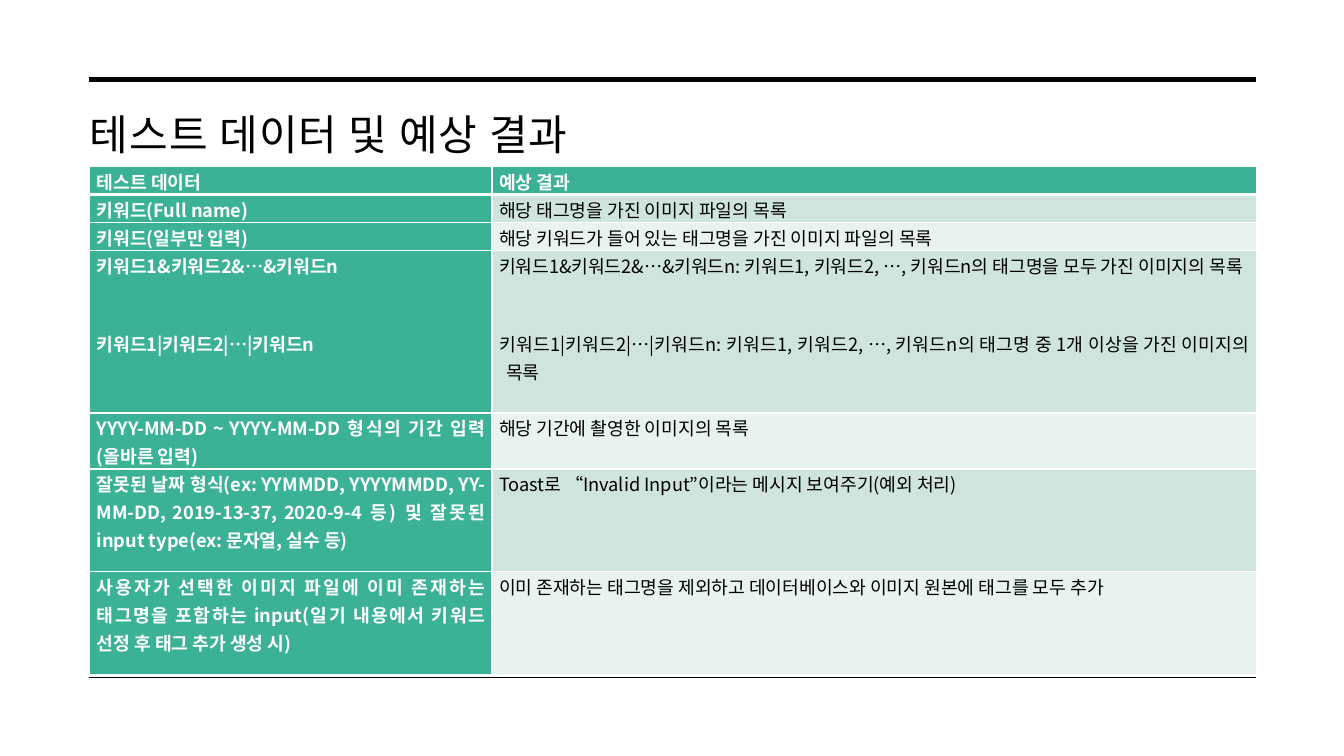
import pptx
import pptx.dml.color
import pptx.enum.shapes
import pptx.enum.text
import pptx.oxml.ns
import pptx.util
from lxml import etree
from pptx.util import Inches

COLORS = {
    "ink": "000000",
    "white": "FFFFFF",
    "green": "3BB195",
    "band_dark": "CEE4DD",
    "band_light": "E8F2EF",
}
FONT = "Noto Sans CJK KR"
TITLE = "테스트 데이터 및 예상 결과"
COLUMN_WIDTHS = [3.99, 7.58]
ROW_HEIGHTS = [0.24, 0.24, 0.24, 1.6, 0.5, 1.02, 1.02]
HANGING_INDENT = 0.07
ROWS = [
    (["테스트 데이터"], ["예상 결과"]),
    (["키워드(Full name)"], ["해당 태그명을 가진 이미지 파일의 목록"]),
    (["키워드(일부만 입력)"], ["해당 키워드가 들어 있는 태그명을 가진 이미지 파일의 목록"]),
    (
        ["키워드1&키워드2&…&키워드n", "키워드1|키워드2|…|키워드n"],
        [
            "키워드1&키워드2&…&키워드n: 키워드1, 키워드2, …, 키워드n의 태그명을 모두 가진 이미지의 목록",
            "키워드1|키워드2|…|키워드n: 키워드1, 키워드2, …, 키워드n의 태그명 중 1개 이상을 가진 이미지의 목록",
        ],
    ),
    (["YYYY-MM-DD ~ YYYY-MM-DD 형식의 기간 입력(올바른 입력)"], ["해당 기간에 촬영한 이미지의 목록"]),
    (
        ["잘못된 날짜 형식(ex: YYMMDD, YYYYMMDD, YY-MM-DD, 2019-13-37, 2020-9-4 등) 및 "
         "잘못된 input type(ex: 문자열, 실수 등)"],
        ["Toast로 “Invalid Input”이라는 메시지 보여주기(예외 처리)"],
    ),
    (
        ["사용자가 선택한 이미지 파일에 이미 존재하는 태그명을 포함하는 "
         "input(일기 내용에서 키워드 선정 후 태그 추가 생성 시)"],
        ["이미 존재하는 태그명을 제외하고 데이터베이스와 이미지 원본에 태그를 모두 추가"],
    ),
]


def rgb(name):
    """Return the named colour."""
    return pptx.dml.color.RGBColor.from_string(COLORS[name])


def add_element(parent, tag, **attributes):
    """Append a DrawingML element with the given attributes."""
    return etree.SubElement(parent, pptx.oxml.ns.qn(tag), **attributes)


def format_span(span, size, color, bold=False):
    """Set the font of a run for Latin and Korean text."""
    span.font.size = pptx.util.Pt(size)
    span.font.bold = bold
    span.font.color.rgb = rgb(color)
    span.font.name = FONT
    add_element(span.font._element, "a:ea", typeface=FONT)


def add_rule(page, left, top, width, weight):
    """Draw a horizontal black rule."""
    rule = page.shapes.add_connector(
        pptx.enum.shapes.MSO_CONNECTOR.STRAIGHT,
        Inches(left), Inches(top), Inches(left + width), Inches(top))
    rule.line.color.rgb = rgb("ink")
    rule.line.width = pptx.util.Pt(weight)
    add_element(rule._element.spPr, "a:effectLst")


def fill_title(page, left, top, width, height):
    """Place and format the title placeholder."""
    title = page.shapes.title
    title.left, title.top = Inches(left), Inches(top)
    title.width, title.height = Inches(width), Inches(height)
    frame = title.text_frame
    frame.text = TITLE
    frame.word_wrap = True
    frame.auto_size = pptx.enum.text.MSO_AUTO_SIZE.NONE
    frame.vertical_anchor = pptx.enum.text.MSO_ANCHOR.TOP
    frame.margin_left = frame.margin_top = frame.margin_right = Inches(0.12)
    frame.margin_bottom = Inches(0.1)
    para = frame.paragraphs[0]
    para.alignment = pptx.enum.text.PP_ALIGN.LEFT
    para.line_spacing = 0.9
    format_span(para.runs[0], 30, "ink")
    para.runs[0].font._element.set("spc", "80")


def add_borders(cell, bottom_weight):
    """Give a cell white borders."""
    properties = cell._tc.get_or_add_tcPr()
    for side in "LRTB":
        weight = bottom_weight if side == "B" else 1
        line = add_element(properties, f"a:ln{side}", w=str(pptx.util.Pt(weight)))
        solid = add_element(line, "a:solidFill")
        add_element(solid, "a:srgbClr", val=COLORS["white"])


def fill_cell(cell, texts, fill, color, bold, bottom_weight):
    """Write the paragraphs of a cell and style it."""
    cell.margin_left = cell.margin_right = Inches(0.07)
    cell.margin_top = cell.margin_bottom = 0
    add_borders(cell, bottom_weight)
    cell.fill.solid()
    cell.fill.fore_color.rgb = rgb(fill)
    cell.text_frame.text = "\n".join(texts)
    for index, para in enumerate(cell.text_frame.paragraphs):
        para.alignment = pptx.enum.text.PP_ALIGN.JUSTIFY
        para.line_spacing = 1.07
        para.space_after = pptx.util.Pt(8)
        if index:
            para.space_before = pptx.util.Pt(28)
        if index and not bold:
            properties = para._p.get_or_add_pPr()
            properties.set("marL", str(Inches(HANGING_INDENT)))
            properties.set("indent", str(-Inches(HANGING_INDENT)))
        format_span(para.runs[0], 13, color, bold)


def add_results_table(page, left, top):
    """Build the table of test data and expected results."""
    table = page.shapes.add_table(
        len(ROWS), len(COLUMN_WIDTHS), Inches(left), Inches(top),
        Inches(sum(COLUMN_WIDTHS)), Inches(sum(ROW_HEIGHTS))).table
    for column, width in zip(table.columns, COLUMN_WIDTHS):
        column.width = Inches(width)
    for index, (height, texts) in enumerate(zip(ROW_HEIGHTS, ROWS)):
        table.rows[index].height = Inches(height)
        band = "band_dark" if index % 2 else "band_light"
        for side, paragraphs in enumerate(texts):
            heading = index == 0 or side == 0
            fill_cell(
                table.cell(index, side), paragraphs,
                "green" if heading else band,
                "white" if heading else "ink",
                heading, 3 if index == 0 else 1)


def build_results_page(deck):
    """Add the page with its rules, title and table."""
    page = deck.slides.add_slide(deck.slide_layouts[5])
    page.background.fill.solid()
    page.background.fill.fore_color.rgb = rgb("white")
    add_rule(page, 0.88, 0.79, 11.58, 3.5)
    add_rule(page, 0.88, 6.72, 11.58, 1)
    fill_title(page, 0.77, 1.01, 11.04, 1.27)
    add_results_table(page, 0.89, 1.65)


deck = pptx.Presentation()
deck.slide_width, deck.slide_height = Inches(13.33), Inches(7.5)
build_results_page(deck)
deck.save("out.pptx")
